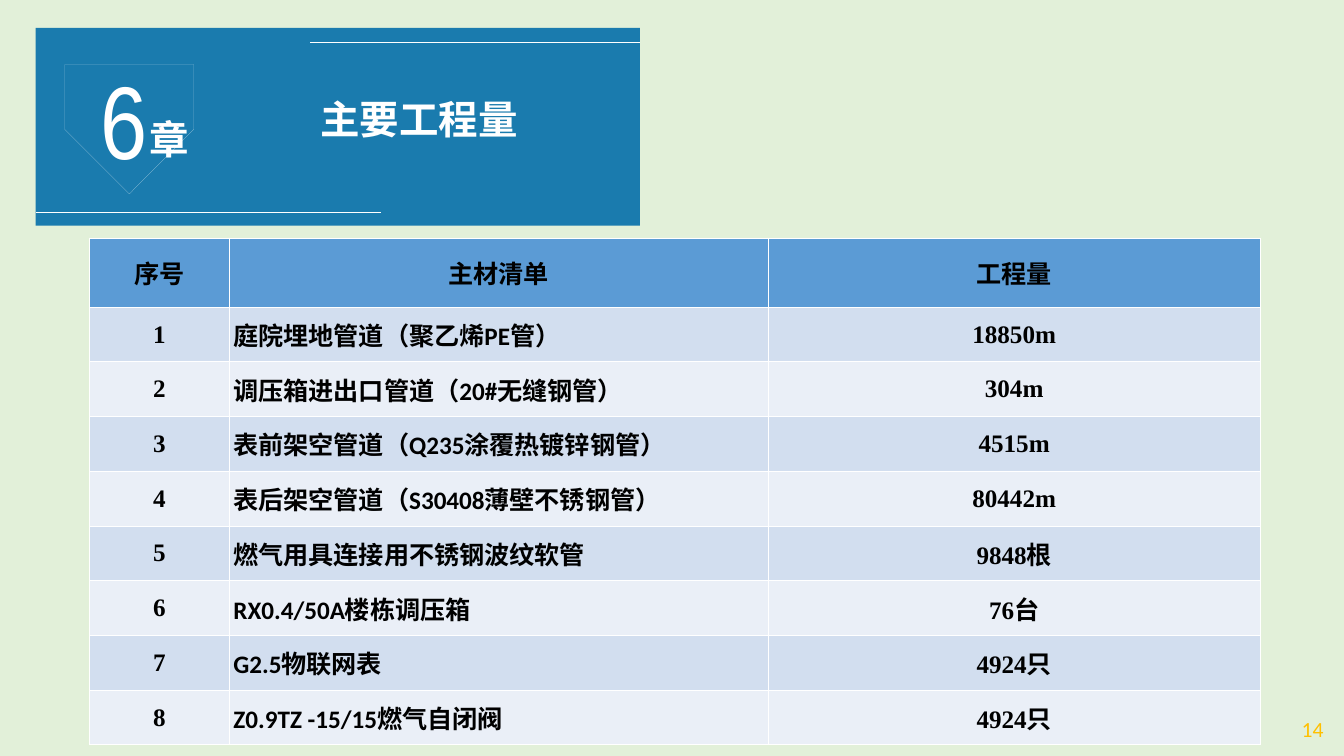
from dataclasses import dataclass

from lxml.etree import SubElement
from pptx import Presentation
from pptx.dml.color import RGBColor
from pptx.enum.shapes import MSO_CONNECTOR, MSO_SHAPE
from pptx.enum.text import MSO_ANCHOR, PP_ALIGN
from pptx.oxml import parse_xml
from pptx.oxml.ns import nsdecls, qn
from pptx.util import Inches, Pt

TITLE = "主要工程量"
CHAPTER = ("6", "章")
PAGE = "14"
HEADER = ("序号", "主材清单", "工程量")
MATERIALS = [
    ("庭院埋地管道（聚乙烯PE管）", "18850m"),
    ("调压箱进出口管道（20#无缝钢管）", "304m"),
    ("表前架空管道（Q235涂覆热镀锌钢管）", "4515m"),
    ("表后架空管道（S30408薄壁不锈钢管）", "80442m"),
    ("燃气用具连接用不锈钢波纹软管", "9848根"),
    ("RX0.4/50A楼栋调压箱", "76台"),
    ("G2.5物联网表", "4924只"),
    ("Z0.9TZ -15/15燃气自闭阀", "4924只"),
]


@dataclass(frozen=True)
class Theme:
    page: str = "E2F0D9"
    banner: str = "1A7BAE"
    white: str = "FFFFFF"
    black: str = "000000"
    gold: str = "FFC000"
    header: str = "5B9BD5"
    bands: tuple = ("D2DEEF", "EAEFF7")
    cjk: str = "Noto Sans CJK SC"
    sans: str = "Calibri"
    serif: str = "Times New Roman"
    narrow: str = "Arial Narrow"
    digit: int = 115
    title: int = 44
    table: int = 28
    number: int = 24


T = Theme()
SLIDE_W, SLIDE_H = 20.79, 11.69
BANNER = (0.55, 0.43, 9.35, 3.06)
TABLE = (1.39, 3.68, 18.1, 7.84)
COLUMN_SHARES = (2.15, 8.34, 7.6)
HEADER_H = 1.07
HEX_CENTER = (2.29, 1.855)
HEX_OUTER = (1.035, 1.205, 0.605)  # half width, half height, half side
HEX_INNER = (0.94, 1.08, 0.54)

SHADOW = (
    f'<a:effectLst {nsdecls("a")}><a:outerShdw blurRad="38100" dist="38100" '
    'dir="2700000" algn="tl"><a:srgbClr val="000000"><a:alpha val="43000"/>'
    "</a:srgbClr></a:outerShdw></a:effectLst>"
)


def rgb(value):
    return RGBColor.from_string(value)


def inches(box):
    return [Inches(v) for v in box]


def write(tf, text, font, size, color, bold=False, align=PP_ALIGN.CENTER, shadow=False):
    tf.text = text
    p = tf.paragraphs[0]
    p.alignment = align
    r = p.runs[0]
    r.font.name, r.font.size, r.font.bold = font, Pt(size), bold
    r.font.color.rgb = rgb(color)
    rpr = r.font.fill._xPr
    rpr.find(qn("a:latin")).addnext(
        parse_xml(f'<a:ea {nsdecls("a")} typeface="{T.cjk}"/>'))
    if shadow:
        rpr.find(qn("a:solidFill")).addnext(parse_xml(SHADOW))


def add_label(s, box, *args, **options):
    tf = s.shapes.add_textbox(*inches(box)).text_frame
    tf.word_wrap = False
    write(tf, *args, **options)


def add_rule(s, x1, x2, y):
    line = s.shapes.add_connector(MSO_CONNECTOR.STRAIGHT, *inches((x1, y, x2, y)))
    line.line.color.rgb = rgb(T.white)
    line.line.width = Pt(0.5)
    SubElement(line.element.spPr, qn("a:effectLst"))


def paint(shape, color):
    shape.shadow.inherit = False
    shape.fill.solid()
    shape.fill.fore_color.rgb = rgb(color)
    shape.line.fill.background()


def hexagon(half_w, half_h, half_side):
    cx, cy = HEX_CENTER
    left, right = cx - half_w, cx + half_w
    up, down = cy - half_side, cy + half_side
    return [(cx, cy - half_h), (left, up), (left, down),
            (cx, cy + half_h), (right, down), (right, up)]


def add_hexagon_ring(s):
    outer, inner = hexagon(*HEX_OUTER), hexagon(*HEX_INNER)[::-1]
    builder = s.shapes.build_freeform(*outer[0], scale=Inches(1))
    builder.add_line_segments(outer[1:], close=True)
    builder.move_to(*inner[0])
    builder.add_line_segments(inner[1:], close=True)
    paint(builder.convert_to_shape(), T.white)


def add_banner(s):
    left, top, width, height = BANNER
    paint(s.shapes.add_shape(MSO_SHAPE.RECTANGLE, *inches(BANNER)), T.banner)
    add_hexagon_ring(s)
    add_rule(s, left, 5.9, top + height - 0.21)
    add_rule(s, 4.8, left + width, top + 0.22)

    digit, word = CHAPTER
    add_label(s, (1.39, 0.82, 1.07, 2.04), digit, T.narrow, T.digit, T.white, shadow=True)
    add_label(s, (2.21, 1.73, 0.82, 0.84), word, T.cjk, T.title, T.white,
              bold=True, shadow=True)

    title = s.shapes.title
    title.left, title.top, title.width, title.height = inches((4.84, 1.42, 3.29, 0.84))
    title.text_frame.word_wrap = False
    title.text_frame.vertical_anchor = MSO_ANCHOR.TOP
    write(title.text_frame, TITLE, T.cjk, T.title, T.white, bold=True)
    title.element.getparent().append(title.element)  # bring in front of the banner


def add_materials(s):
    rows = [HEADER] + [(str(i), *item) for i, item in enumerate(MATERIALS, 1)]
    table = s.shapes.add_table(len(rows), len(HEADER), *inches(TABLE)).table
    for column, share in zip(table.columns, COLUMN_SHARES):
        column.width = Inches(TABLE[2] * share / sum(COLUMN_SHARES))
    body_h = (TABLE[3] - HEADER_H) / len(MATERIALS)
    for i, values in enumerate(rows):
        table.rows[i].height = Inches(body_h if i else HEADER_H)
        for j, value in enumerate(values):
            cell = table.cell(i, j)
            cell.fill.solid()
            cell.fill.fore_color.rgb = rgb(T.bands[(i - 1) % 2] if i else T.header)
            cell.vertical_anchor = MSO_ANCHOR.MIDDLE
            cell.margin_left = cell.margin_right = Inches(0.07)
            cell.margin_top = cell.margin_bottom = 0
            is_name = i > 0 and j == 1
            write(cell.text_frame, value, T.sans if is_name else T.serif, T.table,
                  T.black, bold=True,
                  align=PP_ALIGN.LEFT if is_name else PP_ALIGN.CENTER)


def main():
    prs = Presentation()
    prs.slide_width, prs.slide_height = Inches(SLIDE_W), Inches(SLIDE_H)
    s = prs.slides.add_slide(prs.slide_layouts[5])
    s.background.fill.solid()
    s.background.fill.fore_color.rgb = rgb(T.page)
    add_label(s, (20.02, 11.02, 0.57, 0.51), PAGE, T.sans, T.number, T.gold)
    add_banner(s)
    add_materials(s)
    prs.save("out.pptx")


if __name__ == "__main__":
    main()
